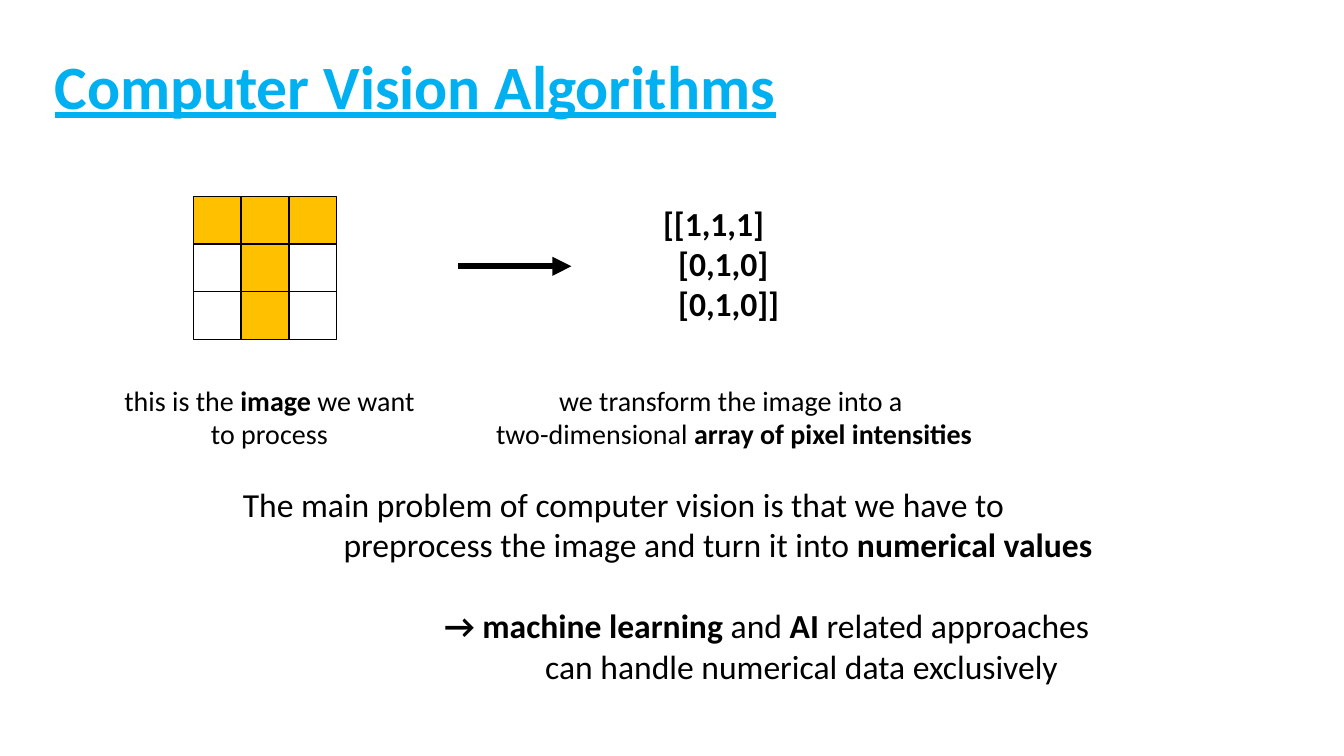
from dataclasses import dataclass

import pptx
import pptx.util
import pptx.dml.color
import pptx.enum.shapes
import pptx.enum.text
import pptx.oxml

Cm, Pt = pptx.util.Cm, pptx.util.Pt
ALIGN, ANCHOR = pptx.enum.text.PP_ALIGN, pptx.enum.text.MSO_ANCHOR
COLORS = {"title": "00B0F0", "ink": "000000", "on": "FFC000", "off": "FFFFFF"}
PIXELS = ((1, 1, 1), (0, 1, 0), (0, 1, 0))
GRID_LEFT, GRID_TOP, CELL = 4.88, 4.95, 1.2


@dataclass
class Line:
    """A paragraph whose bold parts stand between asterisks."""
    text: str
    indent: float = 0
    before: float = 0


@dataclass
class Block:
    """A text box with its place in centimetres."""
    left: float
    top: float
    width: float
    height: float
    size: int
    align: ALIGN
    lines: tuple[Line, ...]


BLOCKS = (
    Block(2.84, 9.53, 7.9, 1.96, 20, ALIGN.CENTER, (
        Line("this is the *image* we want"),
        Line("to process"))),
    Block(12.19, 9.53, 12.62, 1.96, 20, ALIGN.CENTER, (
        Line("we transform the image into a "),
        Line("two-dimensional *array of pixel intensities*"))),
    Block(5.87, 12.07, 22.12, 5.38, 24, ALIGN.LEFT, (
        Line("The main problem of computer vision is that we have to"),
        Line("preprocess the image and turn it into *numerical values*", 2.54),
        Line("*→ machine learning *and *AI* related approaches", 5.08, 29),
        Line("can handle numerical data exclusively", 7.62))),
    Block(16.46, 4.98, 4, 3.33, 24, ALIGN.LEFT, (
        Line("*[[1,1,1]*"),
        Line("*[0,1,0]*", 0.38),
        Line("*[0,1,0]]*", 0.38))),
)


def rgb(name: str) -> pptx.dml.color.RGBColor:
    """Return a named colour."""
    return pptx.dml.color.RGBColor.from_string(COLORS[name])


def apply(target: object, formats: dict) -> None:
    """Set every format value on the target."""
    for name, value in formats.items():
        setattr(target, name, value)


def add_run(p, text: str, color: str, **formats) -> None:
    """Add a formatted run to a paragraph."""
    r = p.add_run()
    r.text = text
    apply(r.font, {"name": "Calibri", **formats})
    r.font.color.rgb = rgb(color)


def add_title(s, text: str) -> None:
    """Fill and place the title placeholder."""
    sp = s.shapes.title
    apply(sp, {"left": Cm(1.12), "top": Cm(0.41), "width": Cm(29.21), "height": Cm(3.68)})
    tf = sp.text_frame
    tf.vertical_anchor = ANCHOR.MIDDLE
    p = tf.paragraphs[0]
    apply(p, {"alignment": ALIGN.LEFT, "line_spacing": 0.9})
    add_run(p, text, "title", size=Pt(44), bold=True, underline=True)


def add_pixel(s, row: int, col: int, value: int) -> None:
    """Draw one square of the pixel grid."""
    sp = s.shapes.add_shape(
        pptx.enum.shapes.MSO_SHAPE.RECTANGLE,
        Cm(GRID_LEFT + col * CELL), Cm(GRID_TOP + row * CELL), Cm(CELL), Cm(CELL))
    sp.shadow.inherit = False
    sp.fill.solid()
    sp.fill.fore_color.rgb = rgb("on" if value else "off")
    sp.line.color.rgb = rgb("ink")
    sp.line.width = Pt(1)


def add_arrow(s, x1: float, x2: float, y: float) -> None:
    """Draw a thick horizontal arrow."""
    line = s.shapes.add_connector(
        pptx.enum.shapes.MSO_CONNECTOR.STRAIGHT, Cm(x1), Cm(y), Cm(x2), Cm(y))
    line.line.color.rgb = rgb("ink")
    line.line.width = Pt(4.5)
    ln = line.line._get_or_add_ln()
    ln.append(pptx.oxml.parse_xml(
        '<a:tailEnd xmlns:a="http://schemas.openxmlformats.org/drawingml/2006/main" type="triangle"/>'))
    ln.addnext(pptx.oxml.parse_xml(
        '<a:effectLst xmlns:a="http://schemas.openxmlformats.org/drawingml/2006/main"/>'))


def add_block(s, block: Block) -> None:
    """Write a block of indented lines."""
    sp = s.shapes.add_textbox(
        Cm(block.left), Cm(block.top), Cm(block.width), Cm(block.height))
    tf = sp.text_frame
    tf.word_wrap = True
    for i, line in enumerate(block.lines):
        p = tf.add_paragraph() if i else tf.paragraphs[0]
        p.alignment = block.align
        if line.indent:
            p._p.get_or_add_pPr().set("marL", str(Cm(line.indent)))
        if line.before:
            p.space_before = Pt(line.before)
        for j, part in enumerate(line.text.split("*")):
            if part:
                add_run(p, part, "ink", size=Pt(block.size), bold=j % 2 == 1)


def main() -> None:
    """Build and save the slide."""
    prs = pptx.Presentation()
    apply(prs, {"slide_width": Cm(33.87), "slide_height": Cm(19.05)})
    s = prs.slides.add_slide(prs.slide_layouts[5])
    add_title(s, "Computer Vision Algorithms")
    for row, values in enumerate(PIXELS):
        for col, value in enumerate(values):
            add_pixel(s, row, col, value)
    add_arrow(s, 11.53, 14.4, 6.71)
    for block in BLOCKS:
        add_block(s, block)
    prs.save("out.pptx")


if __name__ == "__main__":
    main()
